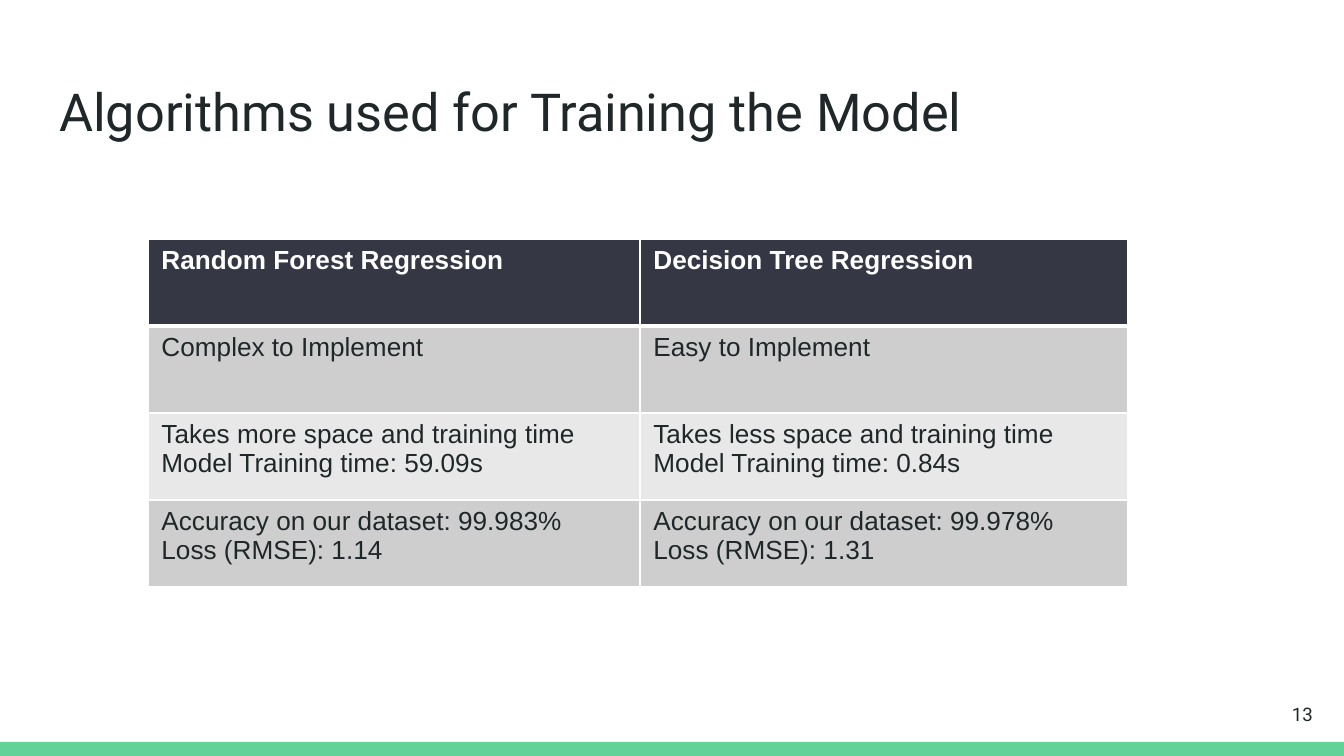
import pptx
import pptx.dml.color
import pptx.enum.shapes
import pptx.enum.text
import pptx.oxml
import pptx.oxml.ns
import pptx.util

EMU_PER_PX = 914400 / 134.4
ALIGN = pptx.enum.text.PP_ALIGN
ANCHOR = pptx.enum.text.MSO_ANCHOR


def px(length):
    return pptx.util.Emu(round(length * EMU_PER_PX))


def color(hex_string):
    return pptx.dml.color.RGBColor.from_string(hex_string)


class SlideBuilder:
    INK, WHITE, GREEN, HEADER = "202729", "FFFFFF", "63D297", "353744"
    BANDS = ("CECECF", "E8E8E9")
    HEADING_FONT, TABLE_FONT = "Roboto", "Arial"
    THIN, THICK = 1, 3

    def __init__(self, slide):
        self.slide = slide
        background = slide.background.fill
        background.solid()
        background.fore_color.rgb = color(self.WHITE)

    def fill_text(self, frame, lines, ink, align=ALIGN.LEFT, **font_format):
        frame.text = "\n".join(lines)
        for paragraph in frame.paragraphs:
            paragraph.alignment = align
            font = paragraph.runs[0].font
            font.color.rgb = color(ink)
            for name, value in font_format.items():
                setattr(font, name, value)

    def bar(self, left, top, width, height, fill):
        shape = self.slide.shapes.add_shape(
            pptx.enum.shapes.MSO_SHAPE.RECTANGLE, px(left), px(top), px(width), px(height))
        shape.shadow.inherit = False
        shape.fill.solid()
        shape.fill.fore_color.rgb = color(fill)
        shape.line.fill.background()

    def text(self, left, top, width, height, line, size, align=ALIGN.LEFT, anchor=ANCHOR.TOP):
        frame = self.slide.shapes.add_textbox(px(left), px(top), px(width), px(height)).text_frame
        inset = pptx.util.Inches(0.1)
        frame_format = {
            "word_wrap": True, "vertical_anchor": anchor,
            "margin_left": inset, "margin_top": inset,
            "margin_right": inset, "margin_bottom": inset,
        }
        for name, value in frame_format.items():
            setattr(frame, name, value)
        self.fill_text(frame, [line], self.INK, align,
                       name=self.HEADING_FONT, size=pptx.util.Pt(size))

    def borders(self, cell, top, bottom):
        widths = {"L": self.THIN, "R": self.THIN, "T": top, "B": bottom}
        properties = cell._tc.get_or_add_tcPr()
        for position, (side, width) in enumerate(widths.items()):
            line = pptx.oxml.parse_xml(
                f'<a:ln{side} {pptx.oxml.ns.nsdecls("a")} w="{pptx.util.Pt(width)}">'
                f'<a:solidFill><a:srgbClr val="{self.WHITE}"/></a:solidFill></a:ln{side}>')
            properties.insert(position, line)

    def table(self, left, top, column_widths, row_height, rows):
        table = self.slide.shapes.add_table(
            len(rows), len(column_widths), px(left), px(top),
            px(sum(column_widths)), px(row_height * len(rows))).table
        table.horz_banding = False
        for column, width in zip(table.columns, column_widths):
            column.width = px(width)
        for row_number, row in enumerate(rows):
            table.rows[row_number].height = px(row_height)
            is_header = row_number == 0
            fill = self.HEADER if is_header else self.BANDS[(row_number - 1) % 2]
            for column_number, lines in enumerate(row):
                cell = table.cell(row_number, column_number)
                cell.fill.solid()
                cell.fill.fore_color.rgb = color(fill)
                self.fill_text(cell.text_frame, lines, self.WHITE if is_header else self.INK,
                               name=self.TABLE_FONT, size=pptx.util.Pt(14), bold=is_header)
                # A thick rule separates the header from the body
                self.borders(cell, self.THICK if row_number == 1 else self.THIN,
                             self.THICK if is_header else self.THIN)


def main():
    presentation = pptx.Presentation()
    presentation.slide_width, presentation.slide_height = px(1344), px(756)
    builder = SlideBuilder(presentation.slides.add_slide(presentation.slide_layouts[6]))

    # Footer bar and title
    builder.bar(0, 742, 1344, 14, builder.GREEN)
    builder.text(46, 66, 1252, 84, "Algorithms used for Training the Model", 28)

    # Comparison of the two algorithms
    builder.table(148, 239, (492, 488), 87, [
        (["Random Forest Regression"], ["Decision Tree Regression"]),
        (["Complex to Implement"], ["Easy to Implement"]),
        (["Takes more space and training time", "Model Training time: 59.09s"],
         ["Takes less space and training time", "Model Training time: 0.84s"]),
        (["Accuracy on our dataset: 99.983%", "Loss (RMSE): 1.14"],
         ["Accuracy on our dataset: 99.978%", "Loss (RMSE): 1.31"]),
    ])

    # Slide number
    builder.text(1246, 685, 80, 58, "13", 10, ALIGN.RIGHT, ANCHOR.MIDDLE)

    presentation.save("out.pptx")


if __name__ == "__main__":
    main()
